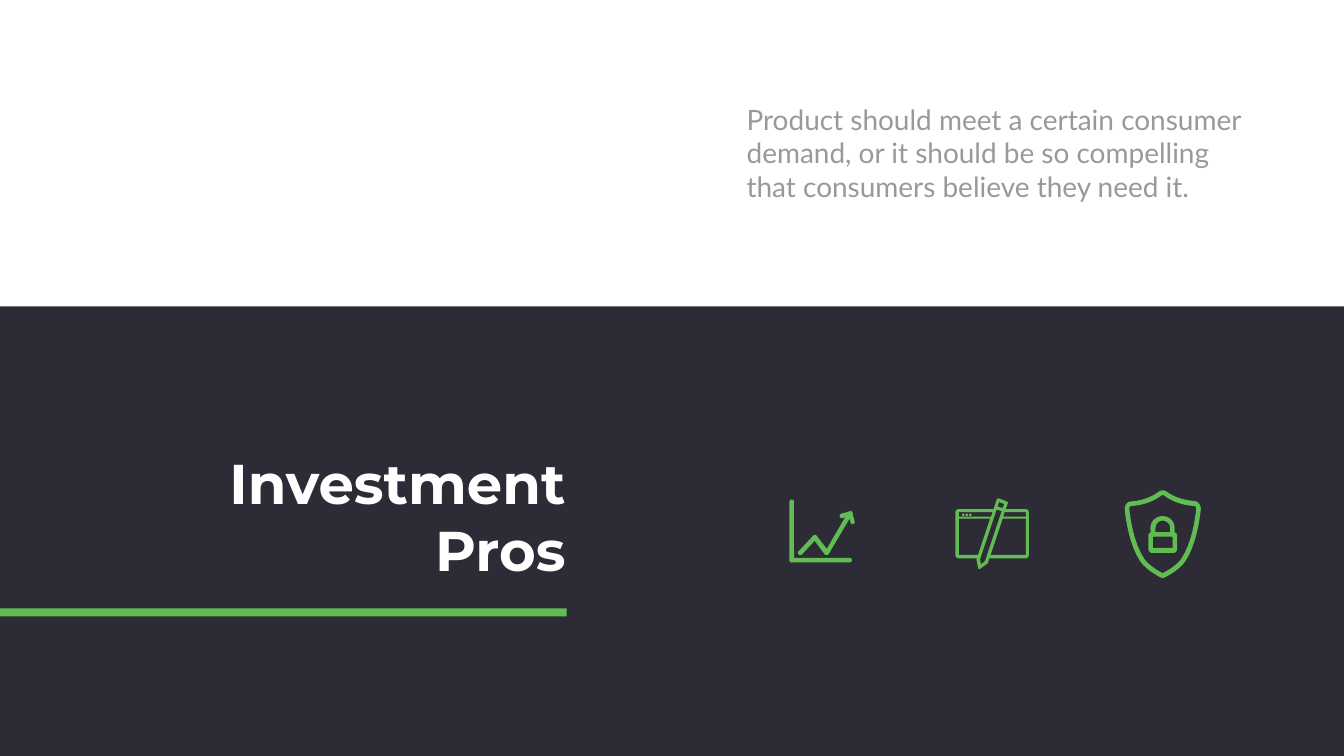
import pptx
import pptx.dml.color
import pptx.enum.shapes
import pptx.enum.text
import pptx.util

Inches = pptx.util.Inches
MSO_SHAPE = pptx.enum.shapes.MSO_SHAPE
PP_ALIGN = pptx.enum.text.PP_ALIGN
RGBColor = pptx.dml.color.RGBColor

DARK = RGBColor(0x2D, 0x2C, 0x36)
GREEN = RGBColor(0x61, 0xBD, 0x53)
WHITE = RGBColor(0xFF, 0xFF, 0xFF)
GRAY = RGBColor(0x99, 0x99, 0x99)
CURVE_STEPS = 8


def write_text(box, text, *, font, size, color, bold=False,
               align=PP_ALIGN.LEFT, inset=(0.1, 0.05)):
    frame = box.text_frame
    frame.word_wrap = True
    frame.auto_size = pptx.enum.text.MSO_AUTO_SIZE.NONE
    frame.vertical_anchor = pptx.enum.text.MSO_ANCHOR.TOP
    frame.margin_left = frame.margin_right = Inches(inset[0])
    frame.margin_top = frame.margin_bottom = Inches(inset[1])
    para = frame.paragraphs[0]
    para.alignment = align
    span = para.add_run()
    span.text = text
    span.font.name = font
    span.font.size = pptx.util.Pt(size)
    span.font.bold = bold
    span.font.color.rgb = color


def draw_outline(shapes, contours):
    """Each step holds a line end (x, y) or a cubic curve (two controls, end)."""
    builder = None
    for contour in contours:
        points = [contour[0]]
        for step in contour[1:]:
            if len(step) == 2:
                points.append(step)
                continue
            x0, y0 = points[-1]
            x1, y1, x2, y2, x3, y3 = step
            for i in range(1, CURVE_STEPS + 1):
                t = i / CURVE_STEPS
                u = 1 - t
                points.append((
                    u**3 * x0 + 3 * u * u * t * x1 + 3 * u * t * t * x2 + t**3 * x3,
                    u**3 * y0 + 3 * u * u * t * y1 + 3 * u * t * t * y2 + t**3 * y3))
        corners = [(Inches(x), Inches(y)) for x, y in points]
        if builder is None:
            builder = shapes.build_freeform(*corners[0])
        else:
            builder.move_to(*corners[0])
        builder.add_line_segments(corners[1:], close=True)
    return builder.convert_to_shape()


deck = pptx.Presentation()
deck.slide_width = Inches(26.66)
deck.slide_height = Inches(15)
page = deck.slides.add_slide(deck.slide_layouts[5])
page.background.fill.solid()
page.background.fill.fore_color.rgb = WHITE
shapes = page.shapes

band = shapes.add_shape(MSO_SHAPE.RECTANGLE, Inches(0), Inches(6.08),
                        Inches(26.66), Inches(8.92))
green_parts = []

for width, height, top in ((0.09, 1.25, 9.91), (1.24, 0.09, 11.07)):
    axis = shapes.add_shape(MSO_SHAPE.ROUNDED_RECTANGLE, Inches(15.66), Inches(top),
                            Inches(width), Inches(height))
    axis.adjustments[0] = 0.5
    green_parts.append(axis)

trend_line = [[
    (16.4, 11.01), (16.39, 11.01, 16.37, 11.01, 16.36, 11), (16.16, 10.73), (15.91, 11),
    (15.89, 11.02, 15.86, 11.02, 15.84, 11), (15.82, 10.98, 15.82, 10.96, 15.84, 10.94),
    (16.13, 10.63), (16.14, 10.62, 16.15, 10.61, 16.17, 10.61),
    (16.18, 10.61, 16.19, 10.62, 16.2, 10.63), (16.4, 10.89), (16.82, 10.17),
    (16.84, 10.14, 16.87, 10.14, 16.89, 10.15), (16.91, 10.16, 16.92, 10.19, 16.9, 10.21),
    (16.44, 10.99), (16.43, 11, 16.42, 11.01, 16.4, 11.01)]]
arrow_side = [[
    (16.91, 10.4), (16.89, 10.4, 16.87, 10.38, 16.87, 10.36), (16.82, 10.2),
    (16.81, 10.18, 16.83, 10.15, 16.85, 10.15), (16.87, 10.14, 16.9, 10.15, 16.91, 10.18),
    (16.95, 10.34), (16.96, 10.36, 16.95, 10.39, 16.93, 10.39),
    (16.92, 10.4, 16.92, 10.4, 16.91, 10.4)]]
arrow_top = [[
    (16.7, 10.28), (16.68, 10.28, 16.66, 10.27, 16.66, 10.25),
    (16.65, 10.23, 16.66, 10.2, 16.69, 10.19), (16.85, 10.15),
    (16.87, 10.14, 16.9, 10.15, 16.91, 10.18), (16.91, 10.2, 16.9, 10.22, 16.88, 10.23),
    (16.71, 10.28)]]
window_and_pencil = [
    [(20.35, 11.01), (19.65, 11.01), (19.89, 10.29), (20.35, 10.29)],
    [(19.46, 11.2), (19.44, 11.1), (19.77, 10.11), (19.87, 10.14), (19.54, 11.13)],
    [(19.02, 11.01), (19.02, 10.29), (19.64, 10.29), (19.4, 11.01)],
    [(19.02, 10.16), (19.69, 10.16), (19.66, 10.25), (19.02, 10.25)],
    [(19.82, 9.96), (19.92, 10), (19.89, 10.08), (19.79, 10.05)],
    [(20.35, 10.16), (20.35, 10.25), (19.9, 10.25), (19.93, 10.16)],
    [(20.34, 10.1), (19.95, 10.1), (19.99, 9.99), (20, 9.97, 19.99, 9.95, 19.97, 9.95),
     (19.82, 9.89), (19.8, 9.89, 19.78, 9.89, 19.77, 9.91), (19.71, 10.1), (19.03, 10.1),
     (18.98, 10.1, 18.95, 10.13, 18.95, 10.17), (18.95, 11),
     (18.95, 11.04, 18.98, 11.08, 19.03, 11.08), (19.38, 11.08), (19.37, 11.1),
     (19.4, 11.26), (19.41, 11.29, 19.43, 11.3, 19.45, 11.28), (19.59, 11.18),
     (19.6, 11.16), (19.62, 11.08), (20.34, 11.08),
     (20.38, 11.08, 20.41, 11.04, 20.41, 11), (20.41, 10.17),
     (20.41, 10.13, 20.38, 10.1, 20.34, 10.1)]]
shield = [
    [(23.07, 9.82), (23.06, 9.82, 23.05, 9.83, 23.04, 9.83),
     (22.95, 9.9, 22.75, 10.02, 22.45, 10.04), (22.42, 10.04, 22.4, 10.06, 22.4, 10.09),
     (22.42, 10.29, 22.49, 10.78, 22.7, 11.09), (22.8, 11.23, 23, 11.34, 23.06, 11.37),
     (23.13, 11.34, 23.33, 11.23, 23.43, 11.09), (23.64, 10.78, 23.71, 10.29, 23.73, 10.09),
     (23.73, 10.06, 23.71, 10.04, 23.68, 10.04), (23.38, 10.02, 23.18, 9.9, 23.09, 9.83),
     (23.08, 9.83, 23.08, 9.82, 23.07, 9.82)],
    [(23.07, 11.47), (23.06, 11.47, 23.05, 11.47, 23.05, 11.47),
     (23.03, 11.46, 22.75, 11.33, 22.62, 11.14), (22.4, 10.82, 22.33, 10.3, 22.31, 10.1),
     (22.31, 10.02, 22.36, 9.95, 22.44, 9.95), (22.72, 9.93, 22.9, 9.82, 22.98, 9.76),
     (23.03, 9.72, 23.1, 9.72, 23.15, 9.76), (23.23, 9.82, 23.41, 9.92, 23.69, 9.94),
     (23.77, 9.95, 23.82, 10.02, 23.82, 10.1), (23.8, 10.3, 23.73, 10.82, 23.51, 11.14),
     (23.38, 11.33, 23.1, 11.46, 23.08, 11.47)]]
lock_body = [
    [(22.87, 10.87), (23.26, 10.87), (23.26, 10.65), (22.87, 10.65)],
    [(23.28, 10.97), (22.85, 10.97), (22.81, 10.97, 22.78, 10.93, 22.78, 10.89),
     (22.78, 10.63), (22.78, 10.59, 22.81, 10.56, 22.85, 10.56), (23.28, 10.56),
     (23.32, 10.56, 23.35, 10.59, 23.35, 10.63), (23.35, 10.89),
     (23.35, 10.93, 23.32, 10.97, 23.28, 10.97)]]
lock_shackle = [[
    (23.26, 10.65), (23.23, 10.65, 23.21, 10.63, 23.21, 10.6), (23.21, 10.48),
    (23.21, 10.4, 23.15, 10.33, 23.06, 10.33), (22.98, 10.33, 22.92, 10.4, 22.92, 10.48),
    (22.92, 10.6), (22.92, 10.63, 22.9, 10.65, 22.87, 10.65),
    (22.85, 10.65, 22.83, 10.63, 22.83, 10.6), (22.82, 10.48),
    (22.82, 10.34, 22.93, 10.24, 23.06, 10.24), (23.2, 10.24, 23.3, 10.34, 23.3, 10.48),
    (23.3, 10.6), (23.3, 10.63, 23.28, 10.65, 23.26, 10.65)]]

for contours in (trend_line, arrow_side, arrow_top, window_and_pencil,
                 shield, lock_body, lock_shackle):
    green_parts.append(draw_outline(shapes, contours))

for i in range(3):
    green_parts.append(shapes.add_shape(
        MSO_SHAPE.OVAL, Inches(19.08 + 0.07 * i), Inches(10.19),
        Inches(0.05), Inches(0.05)))

title_rule = shapes.add_shape(MSO_SHAPE.RECTANGLE, Inches(0), Inches(12.07),
                              Inches(11.24), Inches(0.16))
green_parts.append(title_rule)

for shape in [band, *green_parts]:
    shape.shadow.inherit = False
    shape.fill.solid()
    shape.fill.fore_color.rgb = DARK if shape is band else GREEN
    shape.line.fill.background()

title = shapes.title
title.left, title.top = Inches(3.8), Inches(8.84)
title.width, title.height = Inches(7.52), Inches(2.79)
write_text(title, "Investment Pros", font="Montserrat", size=80, color=WHITE,
           bold=True, align=PP_ALIGN.RIGHT)
title_rule.element.addnext(title.element)

body = shapes.add_textbox(Inches(14.57), Inches(1.91), Inches(10.73), Inches(2.26))
write_text(body, "Product should meet a certain consumer demand, or it should be so "
           "compelling that consumers believe they need it.",
           font="Lato", size=40, color=GRAY, inset=(0.24, 0.12))

deck.save("out.pptx")
